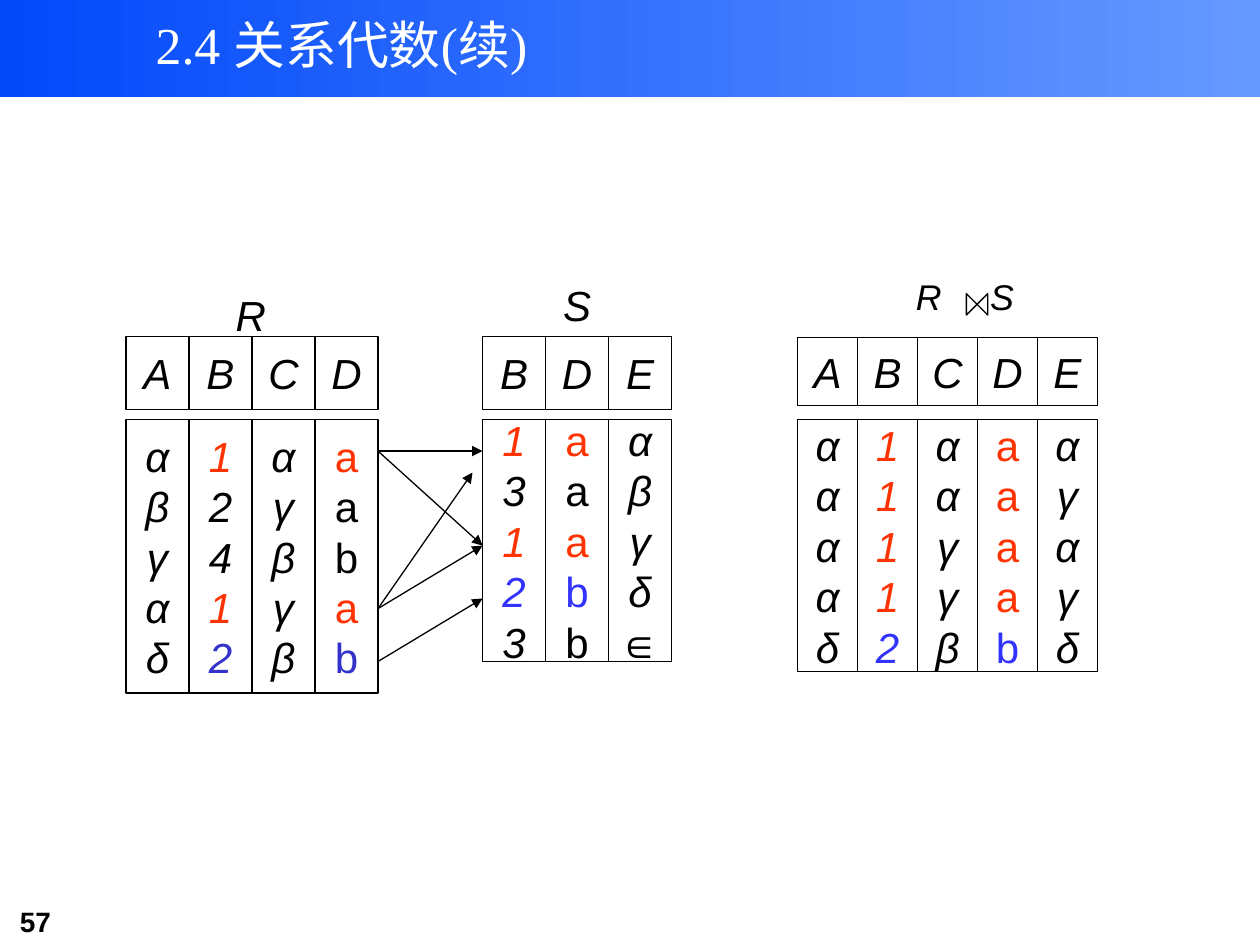
from pptx import Presentation
from pptx.dml.color import RGBColor
from pptx.enum import shapes, text
from pptx.oxml import parse_xml
from pptx.oxml.ns import nsdecls, qn
from pptx.util import Inches, Pt
from lxml import etree

COLORS = {
    "white": "FFFFFF", "black": "000000", "red": "FF3300",
    "navy": "3333CC", "blue": "3333FF",
    "bar_left": "0249FA", "bar_right": "6699FF",
}


def rgb(name):
    return RGBColor.from_string(COLORS[name])


def write(box, lines, size=24, font="Arial", italic=True, bold=False,
          align=text.PP_ALIGN.CENTER, anchor=text.MSO_ANCHOR.MIDDLE, wrap=False):
    frame = box.text_frame
    frame.word_wrap = wrap
    frame.vertical_anchor = anchor
    for i, (words, color) in enumerate(lines):
        paragraph = frame.add_paragraph() if i else frame.paragraphs[0]
        paragraph.alignment = align
        run = paragraph.add_run()
        run.text = words
        run.font.name = font
        run.font.size = Pt(size)
        run.font.italic = italic
        run.font.bold = bold
        run.font.color.rgb = rgb(color)


prs = Presentation()
prs.slide_width = Inches(10)
prs.slide_height = Inches(7.5)
slide = prs.slides.add_slide(prs.slide_layouts[6])

bar = slide.shapes.add_shape(shapes.MSO_SHAPE.RECTANGLE, 0, 0, Inches(10), Inches(0.77))
bar.shadow.inherit = False
bar.line.fill.background()
bar.fill.gradient()
bar.fill.gradient_angle = 0
for stop, shade in zip(bar.fill.gradient_stops, ("bar_left", "bar_right")):
    stop.color.rgb = rgb(shade)

page_number = slide.shapes.add_textbox(Inches(0.06), Inches(7.13), Inches(1.22), Inches(0.37))
write(page_number, [("57", "black")], size=16, italic=False, bold=True,
      align=text.PP_ALIGN.LEFT, anchor=text.MSO_ANCHOR.TOP, wrap=True)

title = slide.shapes.add_textbox(Inches(0.92), Inches(0.01), Inches(3.58), Inches(0.67))
write(title, [("2.4 关系代数(续)", "white")], size=29.6, font="Times New Roman",
      italic=False, wrap=True)

relations = [
    {"label": ("R", 1.77, 2.25, 0.44), "left": 1, "width": 2,
     "head": (2.67, 0.58), "body_height": 2.17, "names": "ABCD",
     "rows": ["α1αa", "β2γa", "γ4βb", "α1γa", "δ2βb"],
     "matches": {0: "red", 3: "red", 4: "navy"}},
    {"label": ("S", 4.37, 2.17, 0.42), "left": 3.83, "width": 1.5,
     "head": (2.67, 0.58), "body_height": 1.92, "names": "BDE",
     "rows": ["1aα", "3aβ", "1aγ", "2bδ", "3b∈"],
     "matches": {0: "red", 2: "red", 3: "blue"}},
    {"label": None, "left": 6.33, "width": 2.38,
     "head": (2.68, 0.54), "body_height": 2, "names": "ABCDE",
     "rows": ["α1αaα", "α1αaγ", "α1γaα", "α1γaγ", "δ2βbδ"],
     "matches": {0: "red", 1: "red", 2: "red", 3: "red", 4: "blue"}},
]

for relation in relations:
    label = relation["label"]
    parts = slide.shapes.add_group_shape().shapes if label else slide.shapes
    column_width = relation["width"] / len(relation["names"])
    for column, name in enumerate(relation["names"]):
        shared = name in "BD"
        values = [(row[column], relation["matches"].get(i, "black") if shared else "black")
                  for i, row in enumerate(relation["rows"])]
        for top, height, lines, italic in (
            (*relation["head"], [(name, "black")], True),
            (3.33, relation["body_height"], values, name != "D"),
        ):
            cell = parts.add_shape(
                shapes.MSO_SHAPE.RECTANGLE,
                Inches(relation["left"] + column * column_width), Inches(top),
                Inches(column_width), Inches(height))
            cell.shadow.inherit = False
            cell.fill.solid()
            cell.fill.fore_color.rgb = rgb("white")
            cell.line.color.rgb = rgb("black")
            cell.line.width = Pt(0.75)
            write(cell, lines, italic=italic)
    if label:
        name, left, top, width = label
        relation_name = parts.add_textbox(Inches(left), Inches(top), Inches(width), Inches(0.5))
        write(relation_name, [(name, "black")])

join_label = slide.shapes.add_textbox(Inches(7.17), Inches(2.17), Inches(1.25), Inches(0.45))
join_paragraph = join_label.text_frame.paragraphs[0]
join_paragraph.line_spacing = 0.9
join_paragraph._p.get_or_add_pPr().append(parse_xml(
    f'<a:tabLst {nsdecls("a")}><a:tab pos="{Inches(0.59)}" algn="l"/></a:tabLst>'))
write(join_label, [("R\tS", "black")], size=20.4, align=text.PP_ALIGN.LEFT,
      anchor=text.MSO_ANCHOR.TOP, wrap=True)

bowtie = slide.shapes.add_shape(
    shapes.MSO_SHAPE.FLOWCHART_COLLATE, Inches(7.67), Inches(2.33), Inches(0.17), Inches(0.17))
bowtie.rotation = 270
bowtie.shadow.inherit = False
bowtie.fill.solid()
bowtie.fill.fore_color.rgb = rgb("white")
bowtie.line.color.rgb = rgb("black")
bowtie.line.width = Pt(0.75)

for start_y, end_x, end_y in (
    (3.58, 3.83, 3.58), (3.58, 3.83, 4.33), (4.83, 3.75, 3.75),
    (4.83, 3.83, 4.33), (5.25, 3.83, 4.75),
):
    match_arrow = slide.shapes.add_connector(
        shapes.MSO_CONNECTOR.STRAIGHT,
        Inches(3), Inches(start_y), Inches(end_x), Inches(end_y))
    match_arrow.line.color.rgb = rgb("black")
    match_arrow.line.width = Pt(0.75)
    etree.SubElement(match_arrow.line._get_or_add_ln(), qn("a:tailEnd"), type="triangle")
    etree.SubElement(match_arrow._element.spPr, qn("a:effectLst"))

prs.save("out.pptx")
